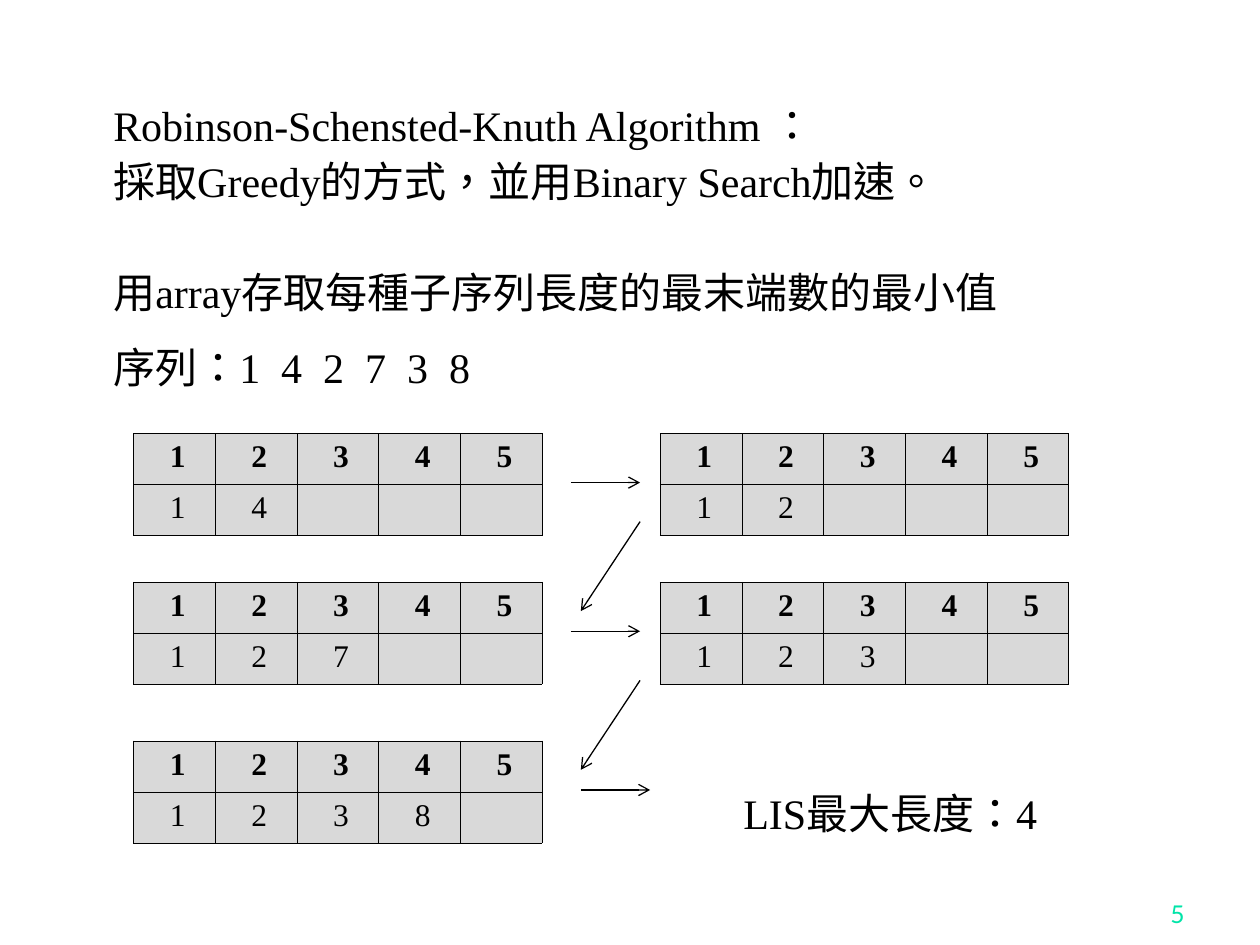
from lxml import etree
from pptx import Presentation
from pptx.dml.color import RGBColor
from pptx.enum import shapes, text
from pptx.oxml.ns import qn
from pptx.util import Pt

BLACK = RGBColor(0x00, 0x00, 0x00)
GRAY = RGBColor(0xD9, 0xD9, 0xD9)
GREEN = RGBColor(0x00, 0xE4, 0xA8)
SERIF = "Times New Roman"
CJK = "Noto Sans CJK SC"


def add_run(p, words, size, color=BLACK, font=SERIF, bold=False):
    r = p.add_run()
    r.text = words
    r.font.size = Pt(size)
    r.font.name = font
    r.font.bold = bold
    r.font.color.rgb = color
    rPr = r._r.get_or_add_rPr()
    rPr.set("lang", "zh-TW")
    etree.SubElement(rPr, qn("a:ea")).set("typeface", CJK)


def add_border(cell):
    tcPr = cell._tc.get_or_add_tcPr()
    for i, side in enumerate(("a:lnL", "a:lnR", "a:lnT", "a:lnB")):
        ln = etree.Element(qn(side), w=str(Pt(0.45)))
        fill = etree.SubElement(ln, qn("a:solidFill"))
        etree.SubElement(fill, qn("a:srgbClr")).set("val", str(BLACK))
        tcPr.insert(i, ln)


prs = Presentation()
prs.slide_width, prs.slide_height = Pt(720), Pt(540)
s = prs.slides.add_slide(prs.slide_layouts[6])

# Page number
tf = s.shapes.add_textbox(Pt(534.24), Pt(498.24), Pt(149.76), Pt(36)).text_frame
tf.word_wrap = True
tf.vertical_anchor = text.MSO_ANCHOR.BOTTOM
p = tf.paragraphs[0]
p.alignment = text.PP_ALIGN.RIGHT
add_run(p, "5", 14, GREEN, "Lato")

# Explanation: space before, left indent, runs
LINE = 31.75
body = [
    (0, 0, ["Robinson-Schensted-Knuth Algorithm ", "："]),
    (0, 0, ["採取", "Greedy", "的方式，並用", "Binary Search", "加速。"]),
    (LINE, 0, ["用", "array", "存取每種子序列長度的最末端數的最小值"]),
    (11.25, 0, ["序列：", "1  4  2  7  3  8"]),
    (223, 360, ["LIS", "最大長度：", "4"]),
]
tf = s.shapes.add_textbox(Pt(30.24), Pt(54), Pt(635.76), Pt(442.8)).text_frame
tf.word_wrap = True
tf.margin_left, tf.margin_top = Pt(34.5), 0
for i, (before, indent, runs) in enumerate(body):
    p = tf.add_paragraph() if i else tf.paragraphs[0]
    p.line_spacing = Pt(LINE)
    p.space_before = Pt(before)
    if indent:
        p._p.get_or_add_pPr().set("marL", str(Pt(indent)))
    for words in runs:
        add_run(p, words, 24)

# Array states, read left to right and top to bottom
COL_W, ROW_H = 46.7, 29.16
LEFTS, TOPS = (76.32, 377.28), (247.68, 332.64, 423.36)
states = ["14", "12", "127", "123", "1238"]
for i, state in enumerate(states):
    left, top = LEFTS[i % 2], TOPS[i // 2]
    table = s.shapes.add_table(2, 5, Pt(left), Pt(top),
                               Pt(5 * COL_W), Pt(2 * ROW_H)).table
    for column in table.columns:
        column.width = Pt(COL_W)
    for row, digits in enumerate(("12345", state.ljust(5))):
        table.rows[row].height = Pt(ROW_H)
        for col, digit in enumerate(digits):
            cell = table.cell(row, col)
            cell.margin_left = Pt(20.7)
            cell.fill.solid()
            cell.fill.fore_color.rgb = GRAY
            add_border(cell)
            add_run(cell.text_frame.paragraphs[0], digit.strip(), 18, bold=row == 0)

# Arrows from each state to the next
arrows = [
    (326.16, 275.76, 365.76, 275.76),
    (365.76, 298.08, 331.92, 349.2),
    (326.16, 360.72, 365.76, 360.72),
    (365.76, 388.8, 331.92, 439.92),
    (331.92, 451.44, 371.52, 451.44),
]
for ends in arrows:
    line = s.shapes.add_connector(shapes.MSO_CONNECTOR.STRAIGHT, *map(Pt, ends))
    line.line.color.rgb = BLACK
    line.line.width = Pt(0.75)
    etree.SubElement(line.line._get_or_add_ln(), qn("a:tailEnd")).set("type", "arrow")
    etree.SubElement(line._element.spPr, qn("a:effectLst"))

prs.save("out.pptx")
